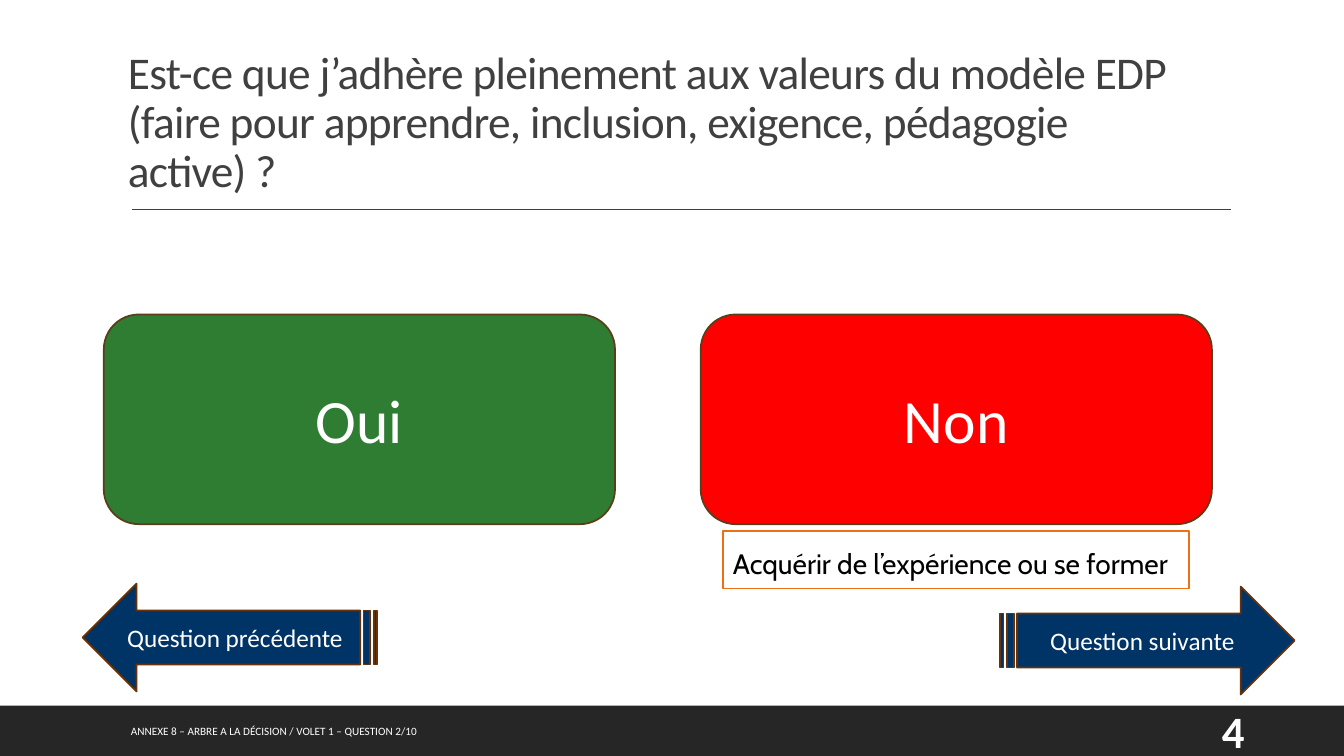
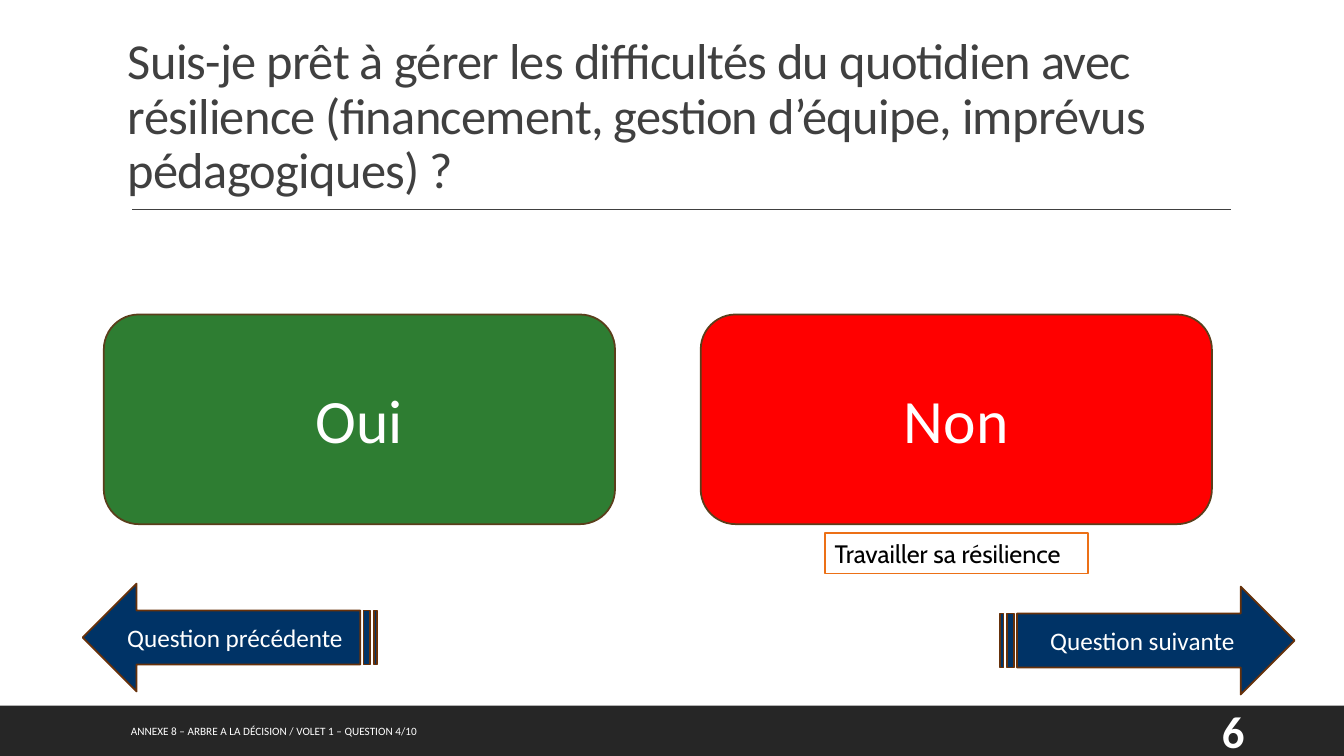
"""Build the yes/no question slides of a decision tree."""
from dataclasses import dataclass

from pptx import Presentation
from pptx.dml.color import RGBColor
from pptx.enum.shapes import MSO_CONNECTOR, MSO_SHAPE
from pptx.enum.text import MSO_ANCHOR, PP_ALIGN
from pptx.oxml.ns import qn
from pptx.util import Inches, Pt
from lxml.etree import SubElement


@dataclass(frozen=True)
class Theme:
    font: str = "Calibri"
    note_font: str = "Cabin"
    ink: str = "404040"
    black: str = "000000"
    white: str = "FFFFFF"
    band: str = "262626"
    yes: str = "2E7D32"
    no: str = "FF0000"
    answer_edge: str = "5A3E1B"
    arrow: str = "003366"
    arrow_edge: str = "67310A"
    note_edge: str = "EC7016"
    answer_size: float = 44
    arrow_size: float = 18
    footer_size: float = 8
    number_size: float = 32
    edge_width: float = 1.25


THEME = Theme()
WIDTH, HEIGHT = 13.33, 7.5
BAND_TOP, BAND_HEIGHT = 7, 0.5
FOOTER_TOP, FOOTER_HEIGHT = 7.05, 0.4
ANSWER_LEFT, ANSWER_TOP, ANSWER_PITCH = 1.03, 3.12, 5.92
ANSWER_SIZE = (5.07, 2.08)
ARROW_SIZE = (2.92, 1.07)

FOOTER = "ANNEXE 8 – ARBRE A LA DÉCISION / VOLET 1 – QUESTION {}/10"
ANSWERS = [("Oui", THEME.yes), ("Non", THEME.no)]
ARROWS = [
    ("Question suivante", 9.92, 5.82, False),
    ("Question précédente", 0.82, 5.79, True),
]
QUESTIONS = [
    {
        "title": "Est-ce que j’adhère pleinement aux valeurs du modèle EDP "
                 "(faire pour apprendre, inclusion, exigence, pédagogie active) ?",
        "title_top": 0.42, "title_size": 32.4,
        "note": "Acquérir de l’expérience ou se former",
        "note_at": (7.17, 5.27, 4.62, 0.57), "note_size": 20, "note_foot": 0.08,
        "question": 2, "page": 4,
    },
    {
        "title": "Suis-je prêt à gérer les difficultés du quotidien avec résilience "
                 "(financement, gestion d’équipe, imprévus pédagogiques) ?",
        "title_top": 0.44, "title_size": 36,
        "note": "Travailler sa résilience",
        "note_at": (8.18, 5.29, 2.61, 0.4), "note_size": 18, "note_foot": 0.05,
        "question": 4, "page": 6,
    },
]


def write(box, text, size, color=THEME.white, font=THEME.font, bold=False,
          align=PP_ALIGN.LEFT, anchor=MSO_ANCHOR.MIDDLE):
    frame = box.text_frame
    frame.word_wrap = True
    frame.vertical_anchor = anchor
    para = frame.paragraphs[0]
    para.alignment = align
    span = para.add_run()
    span.text = text
    span.font.size = Pt(size)
    span.font.name = font
    span.font.bold = bold
    span.font.color.rgb = RGBColor.from_string(color)
    return para, span


def add_text(page, at, text, size, **style):
    box = page.shapes.add_textbox(*map(Inches, at))
    return write(box, text, size, **style)


def add_panel(page, kind, at, fill, edge=None):
    panel = page.shapes.add_shape(kind, *map(Inches, at))
    panel.shadow.inherit = False
    panel.fill.solid()
    panel.fill.fore_color.rgb = RGBColor.from_string(fill)
    if edge:
        panel.line.color.rgb = RGBColor.from_string(edge)
        panel.line.width = Pt(THEME.edge_width)
    else:
        panel.line.fill.background()
    return panel


def add_frame(page, question):
    add_panel(page, MSO_SHAPE.RECTANGLE, (0, BAND_TOP, WIDTH, BAND_HEIGHT), THEME.band)
    rule = page.shapes.add_connector(
        MSO_CONNECTOR.STRAIGHT, *map(Inches, (1.31, 2.08, 12.21, 2.08)))
    rule.line.color.rgb = RGBColor.from_string(THEME.ink)
    rule.line.width = Pt(1)
    SubElement(rule.element.spPr, qn("a:effectLst"))
    add_text(page, (1.2, FOOTER_TOP, 7.46, FOOTER_HEIGHT),
             FOOTER.format(question["question"]), THEME.footer_size,
             align=PP_ALIGN.JUSTIFY)
    add_text(page, (12.02, FOOTER_TOP, 0.85, FOOTER_HEIGHT),
             str(question["page"]), THEME.number_size, bold=True)


def add_title(page, question):
    para, span = add_text(page, (1.17, question["title_top"], 11, 1.59),
                          question["title"], question["title_size"],
                          color=THEME.ink, anchor=MSO_ANCHOR.BOTTOM)
    para.line_spacing = 0.9
    span.font.element.set("spc", "-50") if hasattr(span.font, "element") else \
        para.runs[0].font.size and para.runs[0]._r.get_or_add_rPr().set("spc", "-50")


def add_note(page, question):
    note = add_panel(page, MSO_SHAPE.RECTANGLE, question["note_at"],
                     THEME.white, THEME.note_edge)
    note.text_frame.margin_bottom = Inches(question["note_foot"])
    write(note, question["note"], question["note_size"], color=THEME.black,
          font=THEME.note_font, anchor=MSO_ANCHOR.BOTTOM)


def add_answers(page):
    for column, (label, fill) in enumerate(ANSWERS):
        at = (ANSWER_LEFT + column * ANSWER_PITCH, ANSWER_TOP, *ANSWER_SIZE)
        answer = add_panel(page, MSO_SHAPE.ROUNDED_RECTANGLE, at, fill, THEME.answer_edge)
        write(answer, label, THEME.answer_size, align=PP_ALIGN.CENTER)


def add_arrows(page):
    for label, left, top, flipped in ARROWS:
        arrow = add_panel(page, MSO_SHAPE.STRIPED_RIGHT_ARROW, (left, top, *ARROW_SIZE),
                          THEME.arrow, THEME.arrow_edge)
        if flipped:
            arrow.element.spPr.find(qn("a:xfrm")).set("flipH", "1")
        write(arrow, label, THEME.arrow_size, align=PP_ALIGN.CENTER)


def main():
    deck = Presentation()
    deck.slide_width, deck.slide_height = Inches(WIDTH), Inches(HEIGHT)
    for question in QUESTIONS:
        page = deck.slides.add_slide(deck.slide_layouts[6])
        add_frame(page, question)
        add_title(page, question)
        add_note(page, question)
        add_answers(page)
        add_arrows(page)
    deck.save("out.pptx")


if __name__ == "__main__":
    main()
